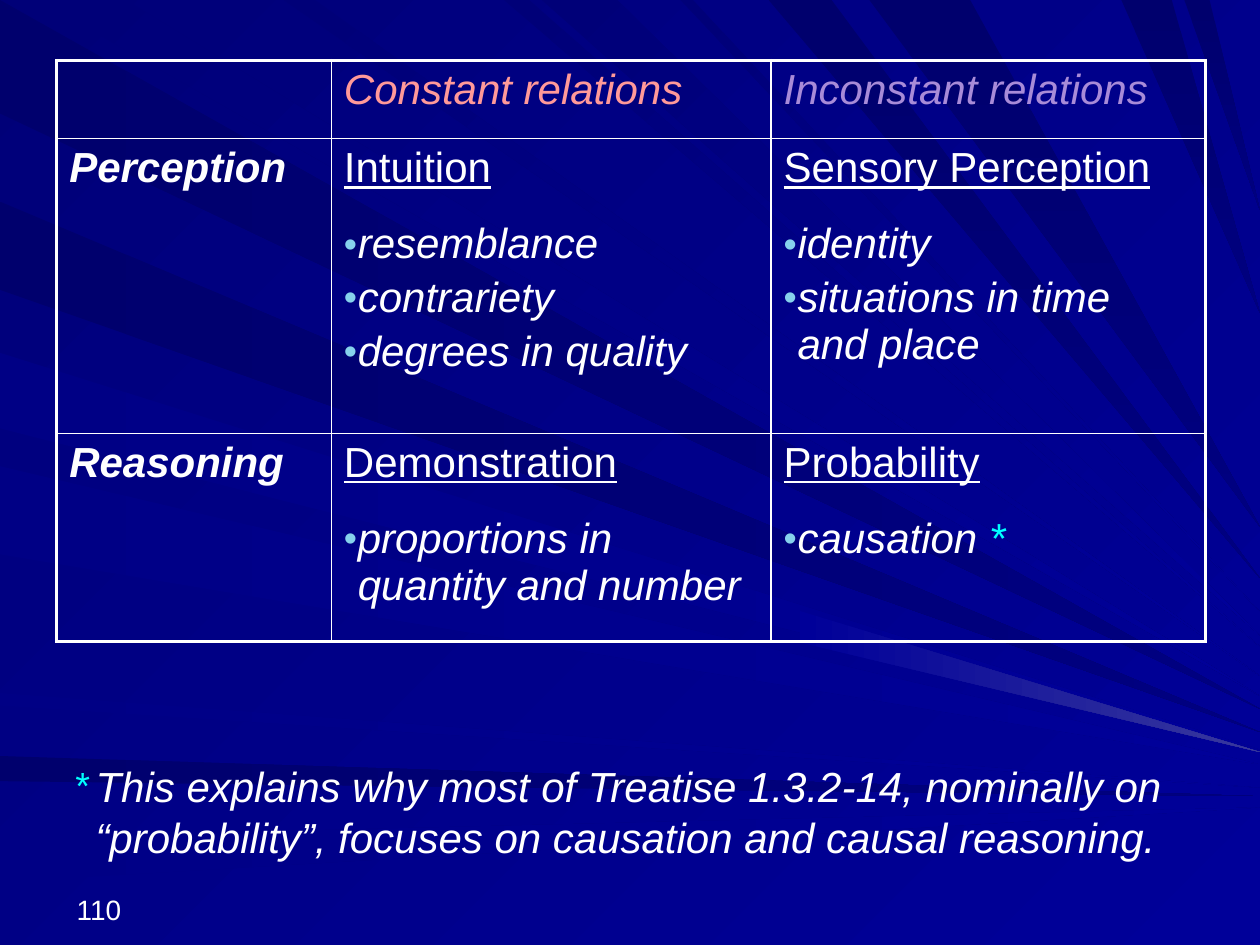
from typing import NamedTuple

from lxml import etree
from pptx import Presentation
from pptx import util as u
from pptx.dml.color import RGBColor
from pptx.enum import text
from pptx.oxml import ns

HUES = {
    "white": "FFFFFF", "rose": "FF9999", "violet": "A88BD8",
    "cyan": "00FFFF", "sky": "86D1EC", "dusk": "000078", "blue": "000099",
    "deep": "00006D", "navy": "000080", "mist": "000085", "glow": "39399E",
}
FONT = "Arial"
WIDE, HIGH = 10, 7.5
FOCUS = (11.4, 6.35)
GAP = u.Pt(4)
SPLIT = u.Pt(16.5)


class Fan(NamedTuple):
    side: str
    start: str
    end: str
    angle: int
    spans: list


class Run(NamedTuple):
    words: str
    hue: str = "white"
    bold: bool = False
    slant: bool = True
    under: bool = False
    size: int = 24


class Para(NamedTuple):
    runs: list
    mark: str = ""
    tint: str = "sky"
    hang: float = 0.11
    gap: int = 0


# Light rays: where each one starts along the left or top edge
FANS = [
    Fan("left", "deep", "navy", 0, [(0, 0.9), (1.6, 2.3), (6, 6.2)]),
    Fan("left", "mist", "blue", 0, [(2.8, 3.4), (3.7, 4.4), (5.5, 5.6), (6.65, 7)]),
    Fan("top", "dusk", "blue", 45, [(0.3, 1), (2.25, 2.5), (4, 4.2), (4.3, 4.9), (5.4, 5.5)]),
    Fan("top", "deep", "navy", 90, [(6.1, 6.6), (6.9, 7.7), (8.9, 9.3), (9.4, 9.6)]),
]


def blend(fill, start: str, end: str, angle: int) -> None:
    fill.gradient()
    fill.gradient_angle = (360 - angle) % 360
    for stop, hue in zip(fill.gradient_stops, (start, end)):
        stop.color.rgb = RGBColor.from_string(HUES[hue])


def draw_ray(slide, base: list, start: str, end: str, angle: int) -> None:
    """Taper from the base to the right edge, aimed at the common focus."""
    x, y = (sum(axis) / len(base) for axis in zip(*base))
    tip = (WIDE, y + (FOCUS[1] - y) * (WIDE - x) / (FOCUS[0] - x))
    pts = [(u.Inches(a), u.Inches(b)) for a, b in (*base, tip)]
    pen = slide.shapes.build_freeform(*pts[0])
    pen.add_line_segments(pts[1:], close=True)
    shape = pen.convert_to_shape()
    shape.shadow.inherit = False
    shape.line.fill.background()
    blend(shape.fill, start, end, angle)


def draw_fan(slide, fan: Fan) -> None:
    for span in fan.spans:
        base = [(0, s) if fan.side == "left" else (s, 0) for s in span]
        draw_ray(slide, base, fan.start, fan.end, fan.angle)


def add_mark(para, item: Para) -> None:
    props = para._p.get_or_add_pPr()
    props.set("marL", str(u.Inches(item.hang)))
    props.set("indent", str(-u.Inches(item.hang)))
    tint = etree.SubElement(props, ns.qn("a:buClr"))
    etree.SubElement(tint, ns.qn("a:srgbClr"), val=HUES[item.tint])
    etree.SubElement(props, ns.qn("a:buSzPct"), val="90000")
    etree.SubElement(props, ns.qn("a:buFont"), typeface=FONT)
    etree.SubElement(props, ns.qn("a:buChar"), char=item.mark)


def write(frame, items: list) -> None:
    for i, item in enumerate(items):
        para = frame.add_paragraph() if i else frame.paragraphs[0]
        para.space_before = item.gap
        if item.mark:
            add_mark(para, item)
        for part in item.runs:
            for j, line in enumerate(part.words.split("\n")):
                if j:
                    para.add_line_break()
                run = para.add_run()
                run.text = line
                font = run.font
                font.name, font.size = FONT, u.Pt(part.size)
                font.bold, font.italic, font.underline = part.bold, part.slant, part.under
                font.color.rgb = RGBColor.from_string(HUES[part.hue])


def add_text(slide, box: tuple, items: list, anchor=text.MSO_ANCHOR.TOP) -> None:
    frame = slide.shapes.add_textbox(*map(u.Inches, box)).text_frame
    frame.word_wrap = True
    frame.vertical_anchor = anchor
    write(frame, items)


def add_edges(cell, outer: dict) -> None:
    props = cell._tc.get_or_add_tcPr()
    for i, (side, thick) in enumerate(outer.items()):
        line = etree.Element(ns.qn(f"a:ln{side}"), w=str(u.Pt(2.25 if thick else 1)))
        fill = etree.SubElement(line, ns.qn("a:solidFill"))
        etree.SubElement(fill, ns.qn("a:srgbClr"), val=HUES["white"])
        props.insert(i, line)


def topic(title: str, *points: list) -> list:
    head = Para([Run(title, slant=False, under=True)])
    return [head] + [Para(runs, "•", gap=GAP if i else SPLIT) for i, runs in enumerate(points)]


def label(words: str, hue: str = "white", bold: bool = False) -> list:
    return [Para([Run(words, hue, bold)])]


COLS = [2.18, 3.49, 3.45]
ROWS = [0.62, 2.34, 1.65]
CELLS = [
    [[], label("Constant relations", "rose"), label("Inconstant relations", "violet")],
    [label("Perception", bold=True),
     topic("Intuition", [Run("resemblance")], [Run("contrariety")], [Run("degrees in quality")]),
     topic("Sensory Perception", [Run("identity")], [Run("situations in time\nand place")])],
    [label("Reasoning", bold=True),
     topic("Demonstration", [Run("proportions in\nquantity and number")]),
     topic("Probability", [Run("causation "), Run("*", "cyan")])],
]


def add_grid(slide) -> None:
    box = (0.45, 0.48, sum(COLS), sum(ROWS))
    grid = slide.shapes.add_table(len(ROWS), len(COLS), *map(u.Inches, box)).table
    grid.first_row = grid.horz_banding = False
    for col, wide in zip(grid.columns, COLS):
        col.width = u.Inches(wide)
    for r, (row, high) in enumerate(zip(grid.rows, ROWS)):
        row.height = u.Inches(high)
        for c, cell in enumerate(row.cells):
            cell.fill.background()
            add_edges(cell, {"L": c == 0, "R": c == len(COLS) - 1,
                             "T": r == 0, "B": r == len(ROWS) - 1})
            write(cell.text_frame, CELLS[r][c])


def main() -> None:
    deck = Presentation()
    deck.slide_width, deck.slide_height = u.Inches(WIDE), u.Inches(HIGH)
    slide = deck.slides.add_slide(deck.slide_layouts[6])
    # Backdrop with rays and one bright streak
    blend(slide.background.fill, "dusk", "blue", 45)
    for fan in FANS:
        draw_fan(slide, fan)
    draw_ray(slide, [(6.35, 4.85), (6.35, 5.1)], "blue", "glow", 0)
    # Page number, table and footnote
    add_text(slide, (0.51, 6.9, 2.33, 0.5), [Para([Run("110", slant=False, size=16)])],
             text.MSO_ANCHOR.BOTTOM)
    add_grid(slide)
    note = ("This explains why most of Treatise 1.3.2-14, nominally on “probability”, "
            "focuses on causation and causal reasoning.")
    add_text(slide, (0.5, 5.99, 9.15, 1.02), [Para([Run(note)], "*", "cyan", 0.16, GAP)])
    deck.save("out.pptx")


if __name__ == "__main__":
    main()
